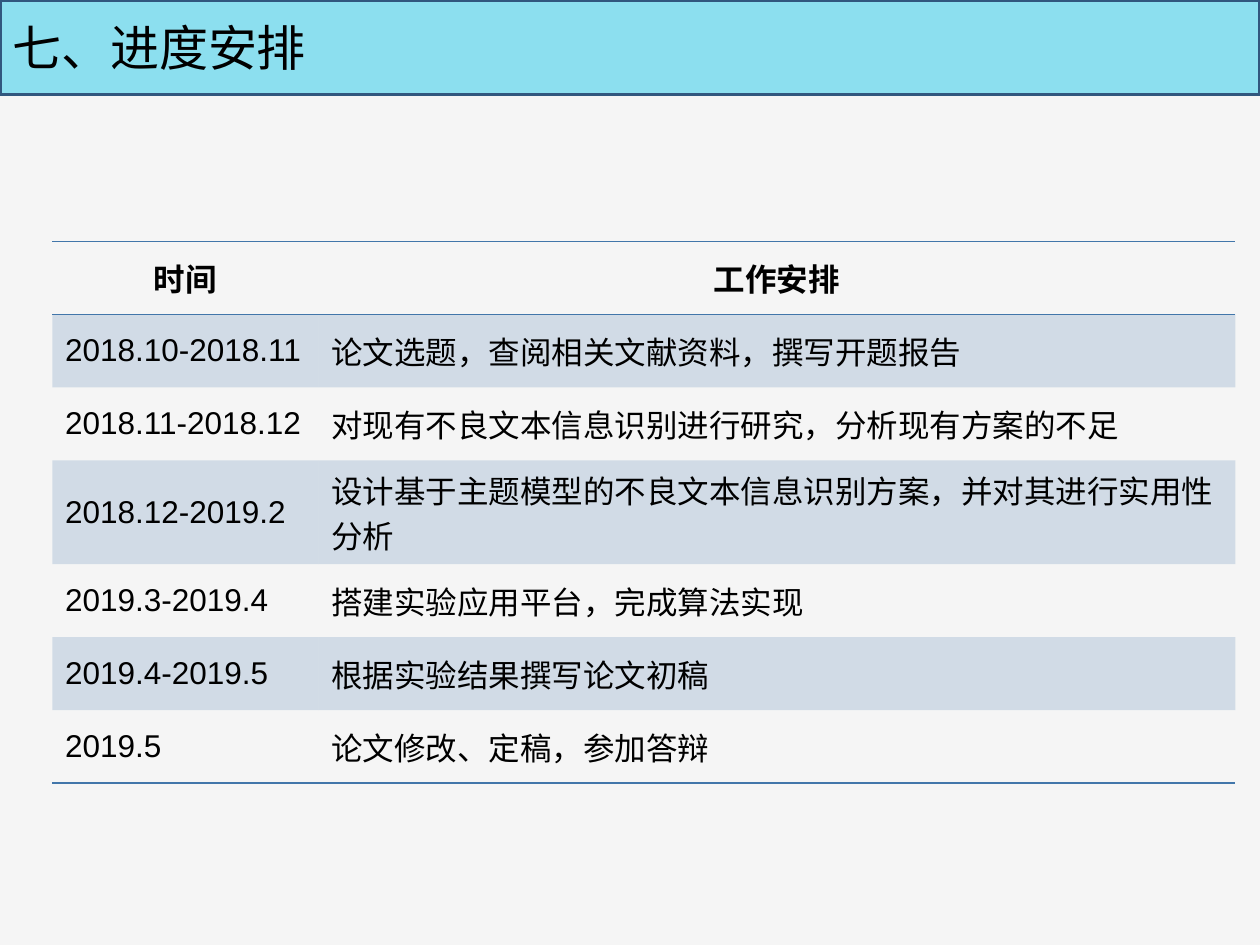
import pptx
import pptx.util
import pptx.dml.color
import pptx.enum.shapes
import pptx.enum.text
import pptx.oxml.ns
import lxml.etree

Pt = pptx.util.Pt
RGB = pptx.dml.color.RGBColor
ALIGN = pptx.enum.text.PP_ALIGN
MIDDLE = pptx.enum.text.MSO_ANCHOR.MIDDLE
qn = pptx.oxml.ns.qn

PAPER = RGB(0xF5, 0xF5, 0xF5)
AQUA = RGB(0x8C, 0xDF, 0xEF)
NAVY = RGB(0x31, 0x57, 0x7E)
BLUE = RGB(0x42, 0x76, 0xAA)
BLACK = RGB(0, 0, 0)

NO_GRID = "{2D5ABB26-0587-4C30-8999-92F81FD0307C}"

HEAD = ("时间", "工作安排")
PLAN = [
    ("2018.10-2018.11", "论文选题，查阅相关文献资料，撰写开题报告"),
    ("2018.11-2018.12", "对现有不良文本信息识别进行研究，分析现有方案的不足"),
    ("2018.12-2019.2", "设计基于主题模型的不良文本信息识别方案，并对其进行实用性分析"),
    ("2019.3-2019.4", "搭建实验应用平台，完成算法实现"),
    ("2019.4-2019.5", "根据实验结果撰写论文初稿"),
    ("2019.5", "论文修改、定稿，参加答辩"),
]


def write(frame, text, size=18, bold=False, align=ALIGN.LEFT, color=BLACK):
    """Put one formatted paragraph in a text frame."""
    para = frame.paragraphs[0]
    para.alignment = align
    run = para.add_run()
    run.text = text
    font = run.font
    font.name, font.size, font.bold = "Arial", Pt(size), bold
    font.color.rgb = color


def edge(cell, side, color, width=1):
    """Draw one border of a cell; call before the cell is filled."""
    props = cell._tc.get_or_add_tcPr()
    line = lxml.etree.SubElement(props, qn("a:" + side), w=str(Pt(width)))
    fill = lxml.etree.SubElement(line, qn("a:solidFill"))
    lxml.etree.SubElement(fill, qn("a:srgbClr"), val=str(color))


def tint(cell, color, alpha):
    """Fill a cell with a color at the given percent of opacity."""
    cell.fill.solid()
    cell.fill.fore_color.rgb = color
    tone = cell._tc.get_or_add_tcPr().find(".//" + qn("a:solidFill") + "[last()]")
    tone = cell._tc.tcPr.find(qn("a:solidFill") + "/" + qn("a:srgbClr"))
    lxml.etree.SubElement(tone, qn("a:alpha"), val=str(alpha * 1000))


class Deck:
    def __init__(self, wide, high):
        self.file = pptx.Presentation()
        self.file.slide_width, self.file.slide_height = Pt(wide), Pt(high)
        self.slide = self.file.slides.add_slide(self.file.slide_layouts[6])
        back = self.slide.background.fill
        back.solid()
        back.fore_color.rgb = PAPER

    def banner(self, text, wide, high):
        box = self.slide.shapes.add_shape(
            pptx.enum.shapes.MSO_SHAPE.RECTANGLE, 0, 0, Pt(wide), Pt(high))
        box.shadow.inherit = False
        box.fill.solid()
        box.fill.fore_color.rgb = AQUA
        box.line.color.rgb = NAVY
        box.line.width = Pt(2)
        box.text_frame.word_wrap = True
        box.text_frame.vertical_anchor = MIDDLE
        write(box.text_frame, text, size=28)

    def table(self, rows, left, top, cols, high):
        frame = self.slide.shapes.add_table(
            len(rows), len(cols), Pt(left), Pt(top),
            Pt(sum(cols)), Pt(high * len(rows)))
        grid = frame.table
        grid.horz_banding = grid.first_row = False
        grid._tbl.tblPr.find(qn("a:tableStyleId")).text = NO_GRID
        for col, wide in zip(grid.columns, cols):
            col.width = Pt(wide)
        for i, row in enumerate(rows):
            grid.rows[i].height = Pt(high)
            head, last = i == 0, i == len(rows) - 1
            for j, text in enumerate(row):
                cell = grid.cell(i, j)
                cell.vertical_anchor = MIDDLE
                write(cell.text_frame, text, bold=head,
                      align=ALIGN.CENTER if head else ALIGN.LEFT)
                # Rules above and below the header and under the last row
                if head:
                    edge(cell, "lnT", BLUE)
                if head or last:
                    edge(cell, "lnB", BLUE)
                # Every other row is shaded
                if i % 2:
                    tint(cell, BLUE, 20)
                else:
                    cell.fill.background()


def main():
    deck = Deck(720, 540)
    # Title band
    deck.banner("七、进度安排", 720, 54)
    # Schedule
    deck.table([HEAD] + PLAN, left=30, top=138, cols=(152, 524), high=41.7)
    deck.file.save("out.pptx")


if __name__ == "__main__":
    main()
